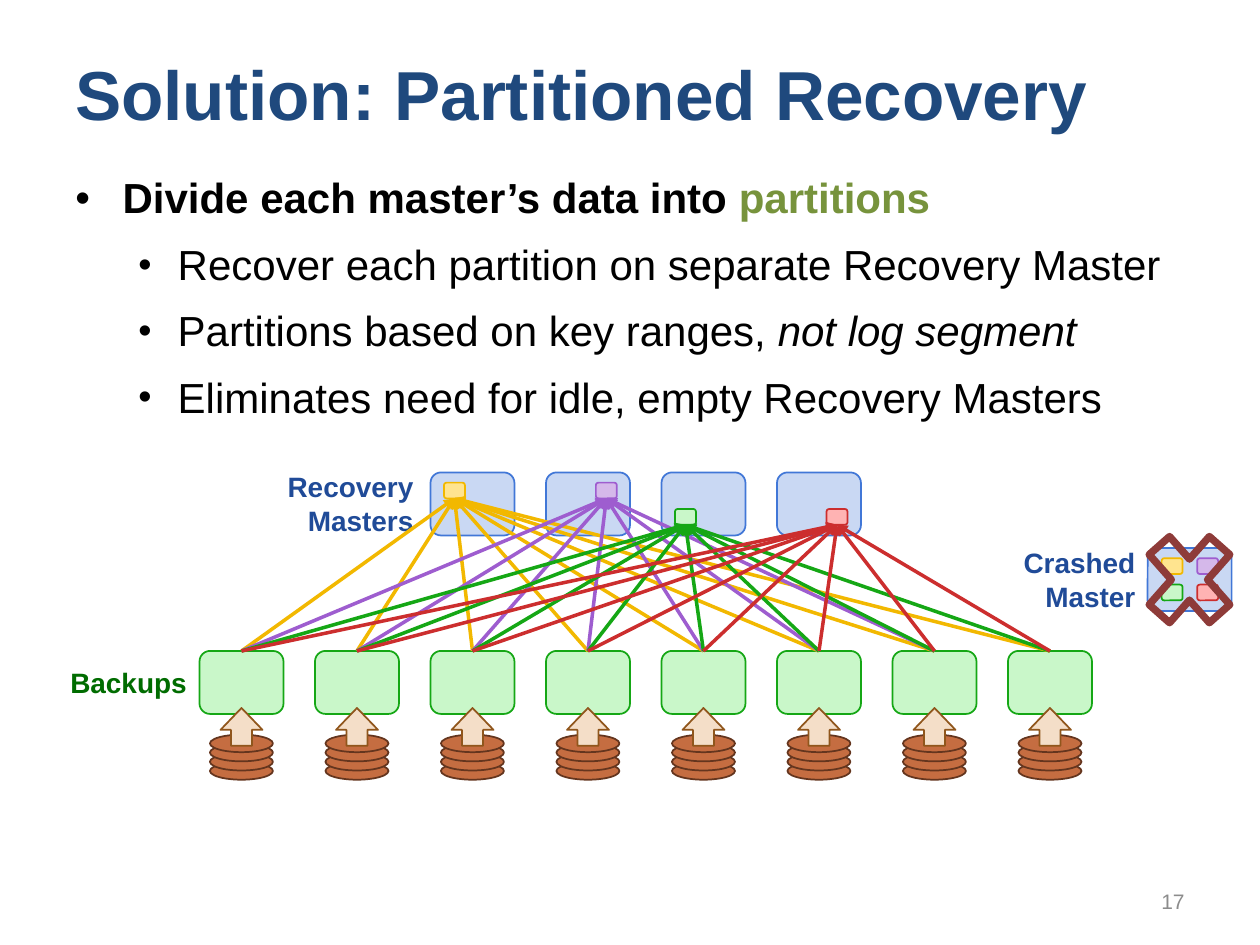
import pptx
import pptx.util
import pptx.dml.color
import pptx.enum.shapes
import pptx.enum.text
import pptx.oxml
import pptx.oxml.ns
from lxml import etree

Pt = pptx.util.Pt
Shape = pptx.enum.shapes.MSO_SHAPE
Align = pptx.enum.text.PP_ALIGN
Anchor = pptx.enum.text.MSO_ANCHOR
Auto = pptx.enum.text.MSO_AUTO_SIZE
qn = pptx.oxml.ns.qn

# Content
COLORS = {
    "title": "1F497D", "text": "000000", "accent": "77933C", "number": "8C8C8C",
    "master label": "204B98", "backup label": "006C00",
    "master": "C9D8F3", "master edge": "4177D7",
    "yellow": "FFE48F", "yellow edge": "F2B800",
    "purple": "D5B8EA", "purple edge": "9E5DCF",
    "green": "C9F7C9", "green edge": "15A715",
    "red": "FFB3B3", "red edge": "CC2E2E",
    "disk": "C56D41", "disk edge": "64351E",
    "read": "F4DEC8", "read edge": "90561C", "cross": "8E3B39",
}
TITLE = "Solution: Partitioned Recovery"
BULLETS = [  # level, spans of (text, colour, format)
    (0, [("Divide each master’s data into ", "text", {"bold": True}),
         ("partitions", "accent", {"bold": True})]),
    (1, [("Recover each partition on separate Recovery Master", "text", {})]),
    (1, [("Partitions based on key ranges, ", "text", {}),
         ("not log segment", "text", {"italic": True})]),
    (1, [("Eliminates need for idle, empty Recovery Masters", "text", {})]),
]
LEVELS = [{"margin": 27, "hang": 27, "size": 100},
          {"margin": 58.5, "hang": 22.5, "size": 90}]
LABELS = [  # text, colour, left, top, width, height
    ("Recovery\nMasters", "master label", 156.2, 265, 87.1, 46),
    ("Backups", "backup label", 32.4, 376.8, 81.4, 26.6),
    ("Crashed\nMaster", "master label", 576.7, 308.2, 79.2, 46),
]
PARTITIONS = [  # colour, offset inside its recovery master, backups read
    ("yellow", 7.7, 5.8, 8),
    ("purple", 28.5, 5.8, 7),
    ("green", 7.7, 20.9, 8),
    ("red", 28.3, 20.9, 8),
]

# Layout
PITCH = 66
NODE = (48, 36)
CHIP = (12, 9)
BACKUP_LEFT, BACKUP_TOP, BACKUP_COUNT = 114, 372, 8
MASTER_LEFT, MASTER_TOP = 246, 270
CRASHED = (655.8, 313.2)
DISK_TOP, DISK_STEP, DISK_COUNT = 419.8, 5.25, 4

deck = pptx.Presentation()
deck.slide_width, deck.slide_height = Pt(720), Pt(540)
page = deck.slides.add_slide(deck.slide_layouts[6])


def rgb(name):
    return pptx.dml.color.RGBColor.from_string(COLORS[name])


def style(span, color, size, **formats):
    for key, value in {"name": "Arial", "size": Pt(size), **formats}.items():
        setattr(span.font, key, value)
    span.font.color.rgb = rgb(color)


def add_box(left, top, width, height, **formats):
    box = page.shapes.add_textbox(Pt(left), Pt(top), Pt(width), Pt(height))
    for key, value in {"word_wrap": True, **formats}.items():
        setattr(box.text_frame, key, value)
    return box.text_frame


def add_text(frame, text, color, size, align=Align.LEFT, **formats):
    para = frame.paragraphs[0]
    para.text = text
    para.alignment = align
    for span in para.runs:
        style(span, color, size, **formats)


def add_part(kind, left, top, size, color):
    part = page.shapes.add_shape(kind, Pt(left), Pt(top), *map(Pt, size))
    part.shadow.inherit = False
    part.fill.solid()
    part.fill.fore_color.rgb = rgb(color)
    part.line.color.rgb = rgb(color + " edge")
    part.line.width = Pt(1)
    return part


def add_arrow(start, end, color):
    arrow = page.shapes.add_connector(pptx.enum.shapes.MSO_CONNECTOR.STRAIGHT, 0, 0, 0, 0)
    arrow.begin_connect(start, 0)
    arrow.end_connect(end, 2)
    arrow.line.color.rgb = rgb(color + " edge")
    arrow.line.width = Pt(2)
    etree.SubElement(arrow.line._get_or_add_ln(), qn("a:tailEnd"), type="triangle")
    etree.SubElement(arrow._element.spPr, qn("a:effectLst"))


# Title, bullets and slide number
frame = add_box(36, 21.6, 648, 62.6, vertical_anchor=Anchor.MIDDLE)
add_text(frame, TITLE, "title", 39.6, bold=True)

frame = add_box(36, 96, 648, 150, margin_top=Pt(5.5))
for index, (level, spans) in enumerate(BULLETS):
    para = frame.add_paragraph() if index else frame.paragraphs[0]
    look = LEVELS[level]
    properties = para._p.get_or_add_pPr()
    properties.set("marL", str(Pt(look["margin"])))
    properties.set("indent", str(-Pt(look["hang"])))
    for key, value in {"level": level, "line_spacing": 0.9, "space_after": Pt(6),
                       "space_before": Pt(6 if index else 0)}.items():
        setattr(para, key, value)
    etree.SubElement(properties, qn("a:buSzPct"), val=str(look["size"] * 1000))
    etree.SubElement(properties, qn("a:buFont"), typeface="Arial")
    etree.SubElement(properties, qn("a:buChar"), char="•")
    for text, color, formats in spans:
        span = para.add_run()
        span.text = text
        style(span, color, 24, **formats)

frame = add_box(516, 500.4, 168, 28.8, vertical_anchor=Anchor.MIDDLE)
add_text(frame, "17", "number", 12, Align.RIGHT)

# Diagram labels
for text, color, *place in LABELS:
    frame = add_box(*place, word_wrap=False, auto_size=Auto.SHAPE_TO_FIT_TEXT)
    add_text(frame, text, color, 16, Align.RIGHT, bold=True)

# Backups, each reading from a stack of disks
backups = []
for index in range(BACKUP_COUNT):
    left = BACKUP_LEFT + index * PITCH
    for level in reversed(range(DISK_COUNT)):
        add_part(Shape.OVAL, left + 6, DISK_TOP + level * DISK_STEP, (36, 10), "disk")
    backups.append(add_part(Shape.ROUNDED_RECTANGLE, left, BACKUP_TOP, NODE, "green"))
    read = add_part(Shape.UP_ARROW, left + 12, 404.6, (24, 21.6), "read")
    read.adjustments[1] = 0.58

# Recovery masters, each with one partition
chips = []
for index, (color, across, down, _) in enumerate(PARTITIONS):
    left = MASTER_LEFT + index * PITCH
    add_part(Shape.ROUNDED_RECTANGLE, left, MASTER_TOP, NODE, "master")
    chips.append(add_part(Shape.ROUNDED_RECTANGLE, left + across, MASTER_TOP + down, CHIP, color))

# Data flow from backups to partitions
for chip, (color, _, _, count) in zip(chips, PARTITIONS):
    for backup in backups[:count]:
        add_arrow(backup, chip, color)

# Crashed master with all four partitions, crossed out
left, top = CRASHED
add_part(Shape.ROUNDED_RECTANGLE, left, top, NODE, "master")
for index, (color, *_) in enumerate(PARTITIONS):
    row, column = divmod(index, 2)
    add_part(Shape.ROUNDED_RECTANGLE, left + 8 + column * 20.3, top + 5.8 + row * 15.1, CHIP, color)
cross = page.shapes.add_shape(Shape.MATH_MULTIPLY, Pt(646.6), Pt(293.8), Pt(66.2), Pt(74.9))
cross.shadow.inherit = False
cross.fill.background()
cross.line.color.rgb = rgb("cross")
cross.line.width = Pt(4.25)

deck.save("out.pptx")
